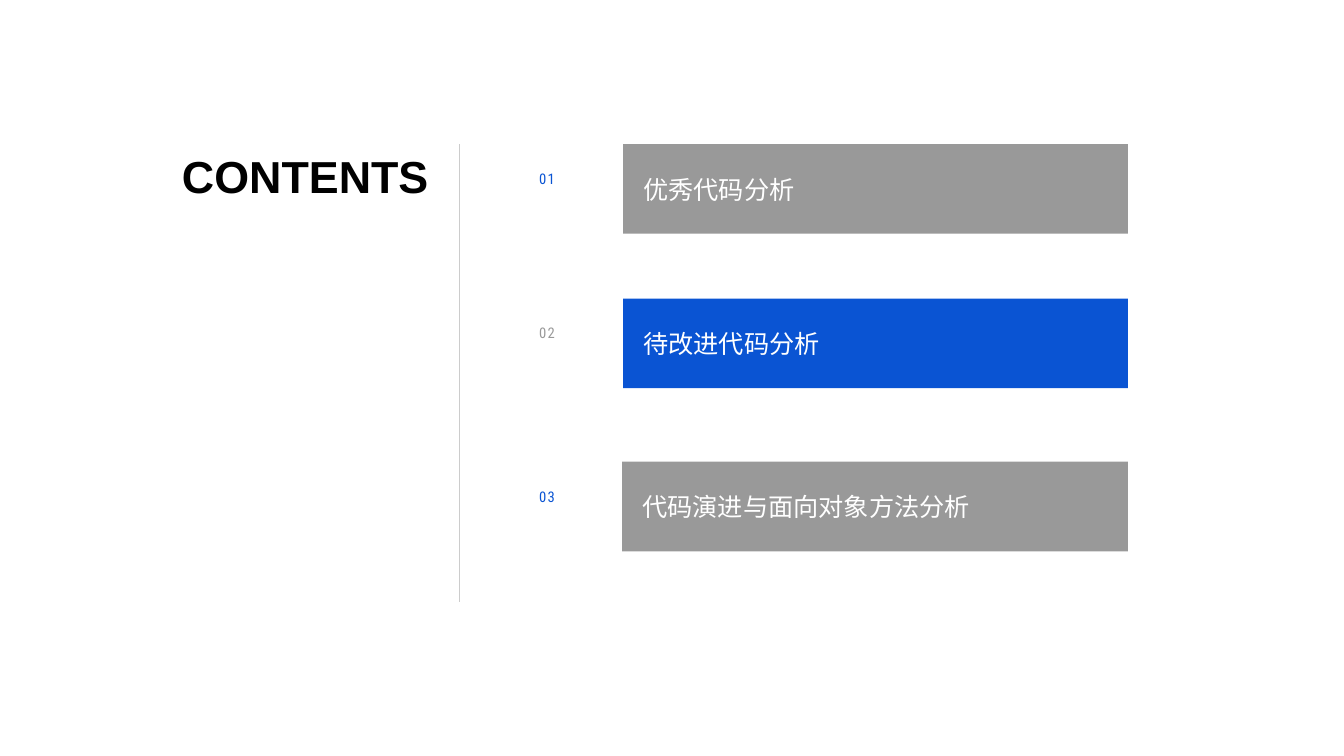
from dataclasses import dataclass

from lxml import etree
from pptx import Presentation
from pptx import util as u
from pptx.dml import color
from pptx.enum import shapes, text
from pptx.oxml import ns

COLORS = {"grey": "999999", "blue": "0A54D3", "rule": "CCCCCC", "white": "FFFFFF", "black": "000000"}
TOP = 103
BAR_RIGHT = 805.7
BAR_HEIGHT = 64


@dataclass
class Chapter:
    number: str
    title: str
    left: float
    top: float
    bar_color: str
    number_color: str


CHAPTERS = [
    Chapter("01", "优秀代码分析", 445, TOP, "grey", "blue"),
    Chapter("02", "待改进代码分析", 445, 213.25, "blue", "grey"),
    Chapter("03", "代码演进与面向对象方法分析", 444.3, 329.8, "grey", "blue"),
]


def rgb(name: str) -> color.RGBColor:
    return color.RGBColor.from_string(COLORS[name])


def write(box, words: str, font: str, size: float, ink: str, bold: bool = False):
    span = box.text_frame.paragraphs[0].add_run()
    span.text = words
    span.font.name = font
    span.font.size = u.Pt(size)
    span.font.bold = bold
    span.font.color.rgb = rgb(ink)
    return span


def add_panel(page, left: float, top: float, width: float, fill: str):
    panel = page.shapes.add_shape(
        shapes.MSO_SHAPE.RECTANGLE, u.Pt(left), u.Pt(top), u.Pt(width), u.Pt(BAR_HEIGHT))
    panel.shadow.inherit = False
    panel.fill.solid()
    panel.fill.fore_color.rgb = rgb(fill)
    panel.line.fill.background()
    return panel


def add_heading(page) -> None:
    heading = add_panel(page, 192.3, TOP, 121, "white")
    heading.text_frame.word_wrap = False
    heading.text_frame.vertical_anchor = text.MSO_ANCHOR.TOP
    heading.text_frame.paragraphs[0].alignment = text.PP_ALIGN.RIGHT
    write(heading, "CONTENTS", "Arial", 32, "black", bold=True)


def add_divider(page) -> None:
    divider = page.shapes.add_connector(
        shapes.MSO_CONNECTOR.STRAIGHT, u.Pt(328.3), u.Pt(TOP), u.Pt(328.3), u.Pt(430))
    divider.line.color.rgb = rgb("rule")
    divider.line.width = u.Pt(0.5)
    etree.SubElement(divider._element.spPr, ns.qn("a:effectLst"))


def add_chapter(page, chapter: Chapter) -> None:
    bar = add_panel(page, chapter.left, chapter.top, BAR_RIGHT - chapter.left, chapter.bar_color)
    bar.text_frame.word_wrap = True
    bar.text_frame.margin_left = u.Pt(14.5)
    bar.text_frame.vertical_anchor = text.MSO_ANCHOR.MIDDLE
    bar.text_frame.paragraphs[0].alignment = text.PP_ALIGN.LEFT
    write(bar, chapter.title, "Arial", 18, "white")

    label = page.shapes.add_textbox(u.Pt(378), u.Pt(chapter.top + 14.8), u.Pt(39), u.Pt(47.5))
    label.text_frame.word_wrap = True
    span = write(label, chapter.number, "Roboto Condensed", 10.5, chapter.number_color)
    span._r.get_or_add_rPr().set("spc", "100")


def main() -> None:
    deck = Presentation()
    deck.slide_width = u.Pt(960)
    deck.slide_height = u.Pt(540)
    page = deck.slides.add_slide(deck.slide_layouts[6])
    add_heading(page)
    add_divider(page)
    for chapter in CHAPTERS:
        add_chapter(page, chapter)
    deck.save("out.pptx")


if __name__ == "__main__":
    main()
